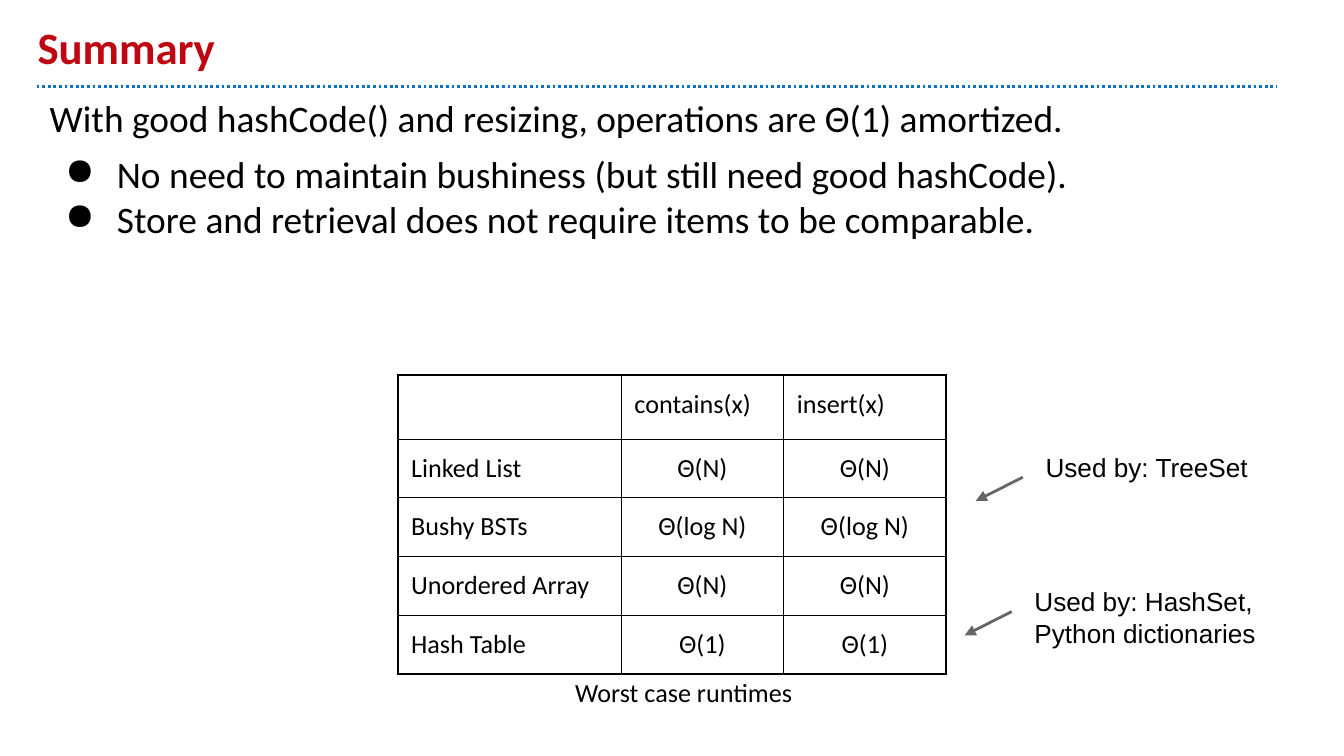
from dataclasses import dataclass

from lxml.etree import SubElement
from pptx import Presentation
from pptx.dml.color import RGBColor
from pptx.enum.dml import MSO_LINE_DASH_STYLE as Dash
from pptx.enum.shapes import MSO_CONNECTOR as Connector
from pptx.enum.text import MSO_ANCHOR as Anchor, PP_ALIGN as Align
from pptx.oxml.ns import qn
from pptx.util import Cm, Pt


@dataclass(frozen=True)
class Theme:
    red: str = "BE0712"
    blue: str = "1072BD"
    black: str = "000000"
    grey: str = "666666"
    main_font: str = "Calibri"
    note_font: str = "Arial"
    title_size: int = 24
    body_size: int = 20
    small_size: int = 14
    line_width: float = 1.5
    border_width: float = 0.75
    inset: float = 0.25


THEME = Theme()
BULLETS = [
    "No need to maintain bushiness (but still need good hashCode).",
    "Store and retrieval does not require items to be comparable.",
]
RUNTIMES = [
    ("", "contains(x)", "insert(x)"),
    ("Linked List", "Θ(N)", "Θ(N)"),
    ("Bushy BSTs", "Θ(log N)", "Θ(log N)"),
    ("Unordered Array", "Θ(N)", "Θ(N)"),
    ("Hash Table", "Θ(1)", "Θ(1)"),
]


def style(paragraph, size, font=THEME.main_font, color=THEME.black, bold=False):
    paragraph.font.size = Pt(size)
    paragraph.font.name = font
    paragraph.font.bold = bold
    paragraph.font.color.rgb = RGBColor.from_string(color)


def set_insets(holder):
    """Give a text frame or table cell the same inset on every side."""
    holder.margin_left = holder.margin_right = Cm(THEME.inset)
    holder.margin_top = holder.margin_bottom = Cm(THEME.inset)


def add_text(slide, box, lines, anchor=Anchor.TOP):
    frame = slide.shapes.add_textbox(*map(Cm, box)).text_frame
    frame.word_wrap = True
    frame.vertical_anchor = anchor
    set_insets(frame)
    frame.text = "\n".join(lines)
    return frame.paragraphs


def add_line(slide, start, end, color):
    line = slide.shapes.add_connector(
        Connector.STRAIGHT, *map(Cm, (*start, *end)))
    line.line.color.rgb = RGBColor.from_string(color)
    line.line.width = Pt(THEME.line_width)
    SubElement(line._element.spPr, qn("a:effectLst"))
    return line


def add_heading(slide, box):
    left, top, width, height = box
    # Dotted rule under the title
    rule_y = top + height
    rule = add_line(slide, (left + 0.23, rule_y),
                    (left + width + 0.81, rule_y), THEME.blue)
    rule.line.dash_style = Dash.ROUND_DOT
    # Title
    title, = add_text(slide, box, ["Summary"], Anchor.BOTTOM)
    style(title, THEME.title_size, color=THEME.red, bold=True)


def add_body(slide, box):
    intro = "With good hashCode() and resizing, operations are Θ(1) amortized."
    paragraphs = add_text(slide, box, [intro, *BULLETS])
    for bullet in paragraphs[1:]:
        properties = bullet._p.get_or_add_pPr()
        properties.set("marL", str(Cm(1.27)))
        properties.set("indent", str(Cm(-0.98)))
        SubElement(properties, qn("a:buChar"), char="●")
    paragraphs[1].space_before = Pt(6)
    for paragraph in paragraphs:
        style(paragraph, THEME.body_size)


def add_borders(cell):
    properties = cell._tc.get_or_add_tcPr()
    for side in ("lnL", "lnR", "lnT", "lnB"):
        border = SubElement(properties, qn(f"a:{side}"),
                            w=str(Pt(THEME.border_width)))
        fill = SubElement(border, qn("a:solidFill"))
        SubElement(fill, qn("a:srgbClr"), val=THEME.black)


def add_runtimes(slide, box):
    left, top, width, height = box
    # Table grid
    header_height, name_width = 1.21, 4.22
    table = slide.shapes.add_table(
        len(RUNTIMES), len(RUNTIMES[0]), *map(Cm, box)).table
    table.first_row = table.horz_banding = False
    for i, column in enumerate(table.columns):
        column.width = Cm(name_width if i == 0 else (width - name_width) / 2)
    for i, row in enumerate(table.rows):
        row.height = Cm(header_height if i == 0 else
                        (height - header_height) / (len(RUNTIMES) - 1))
    # Cells
    for r, values in enumerate(RUNTIMES):
        for c, value in enumerate(values):
            cell = table.cell(r, c)
            set_insets(cell)
            add_borders(cell)
            cell.fill.background()
            cell.text = value
            paragraph = cell.text_frame.paragraphs[0]
            paragraph.alignment = Align.CENTER if r and c else Align.LEFT
            style(paragraph, THEME.small_size)
    # Caption
    caption, = add_text(slide, (left + 3.1, top + height, 5.82, 0.69),
                        ["Worst case runtimes"], Anchor.MIDDLE)
    style(caption, THEME.small_size)


def add_note(slide, box, lines):
    left, top = box[:2]
    # Arrow towards the table row
    start_x, start_y = left - 0.18, top + 0.74
    arrow = add_line(slide, (start_x, start_y),
                     (start_x - 0.89, start_y + 0.45), THEME.grey)
    SubElement(arrow.line._get_or_add_ln(), qn("a:tailEnd"), type="triangle")
    # Label
    for paragraph in add_text(slide, box, lines):
        style(paragraph, THEME.small_size, THEME.note_font)


def main():
    deck = Presentation()
    deck.slide_width, deck.slide_height = Cm(25.4), Cm(14.29)
    slide = deck.slides.add_slide(deck.slide_layouts[6])
    add_heading(slide, (0.46, 0.25, 22.86, 1.38))
    add_body(slide, (0.69, 1.55, 24, 11.53))
    add_runtimes(slide, (7.52, 7.09, 10.36, 5.65))
    add_note(slide, (19.51, 8.28, 4.55, 0.69), ["Used by: TreeSet"])
    add_note(slide, (19.3, 10.82, 5.38, 1.93),
             ["Used by: HashSet,", "Python dictionaries"])
    deck.save("out.pptx")


if __name__ == "__main__":
    main()
